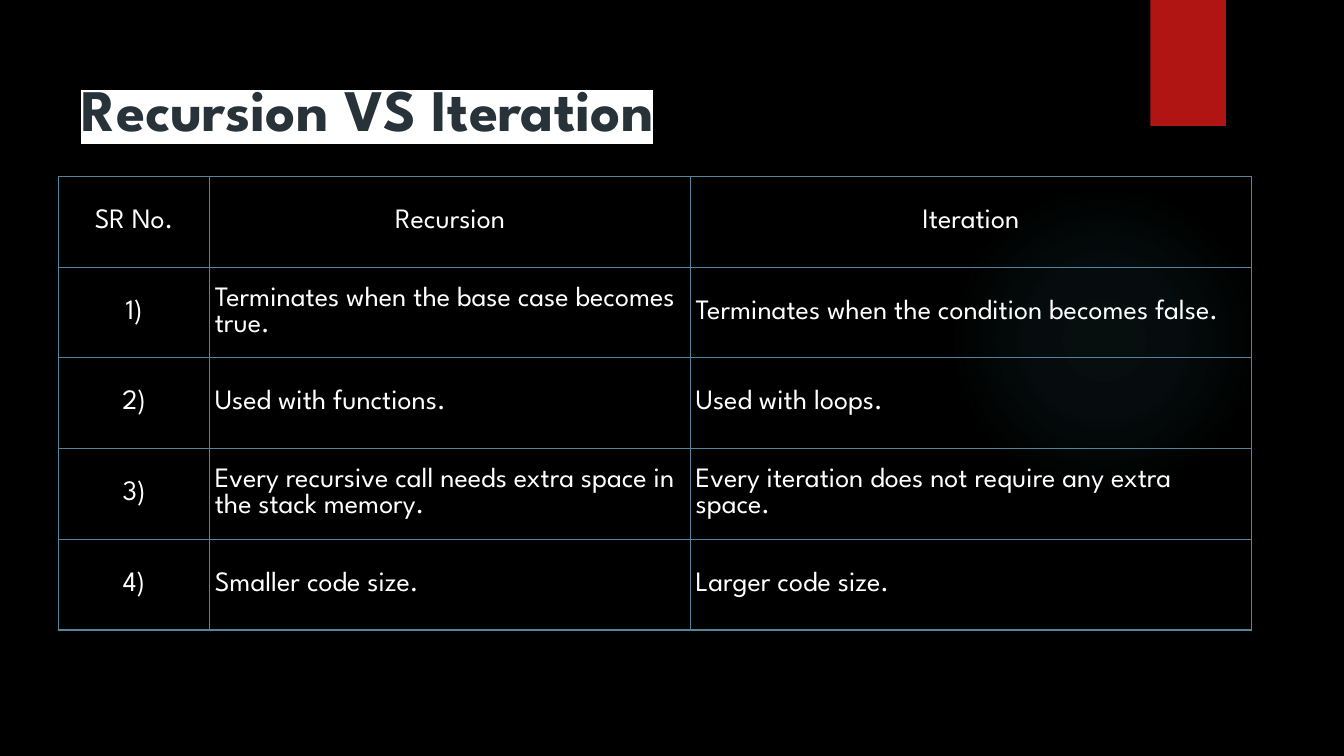
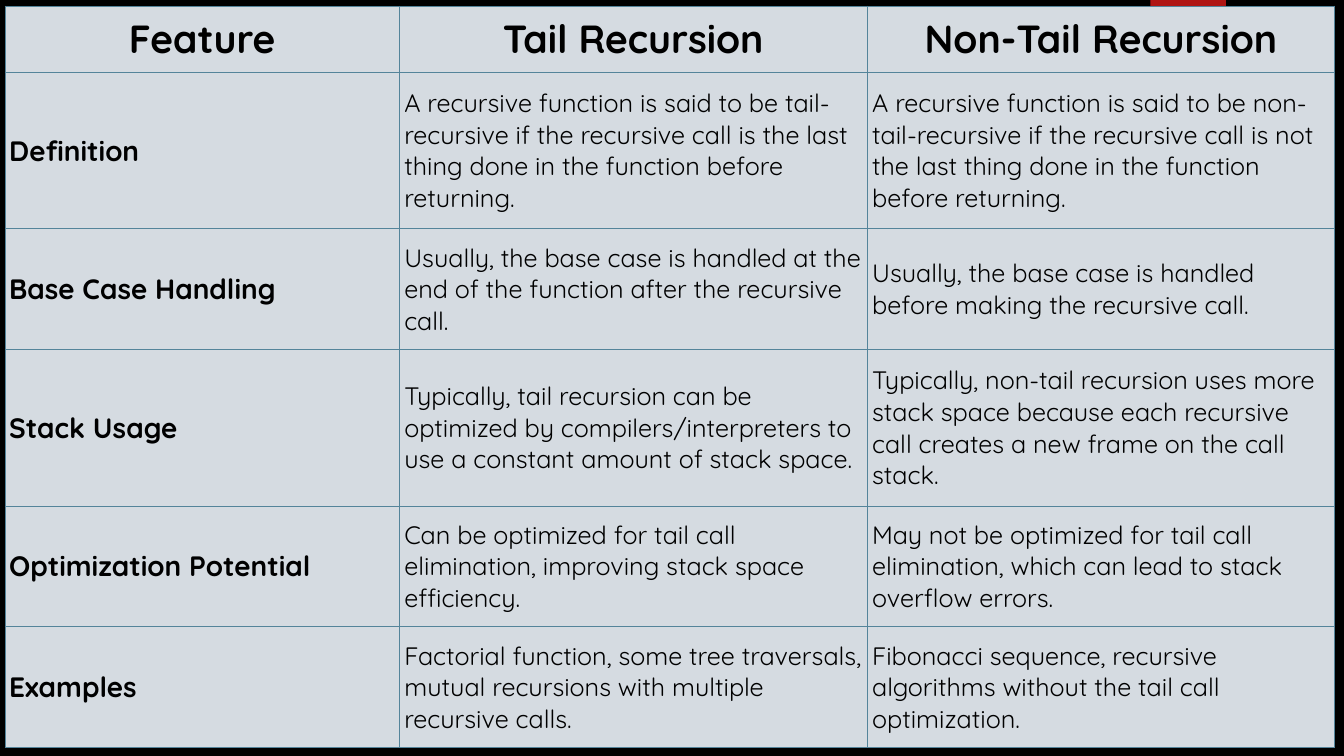
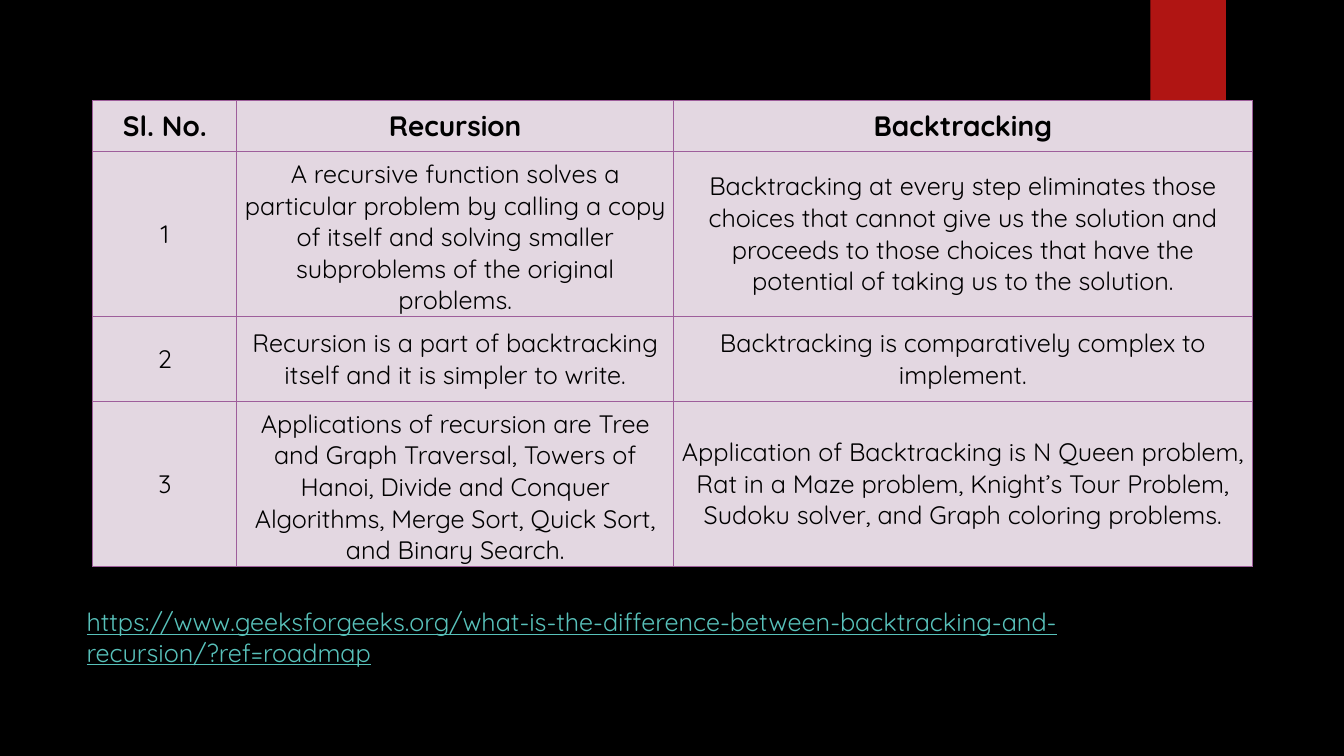
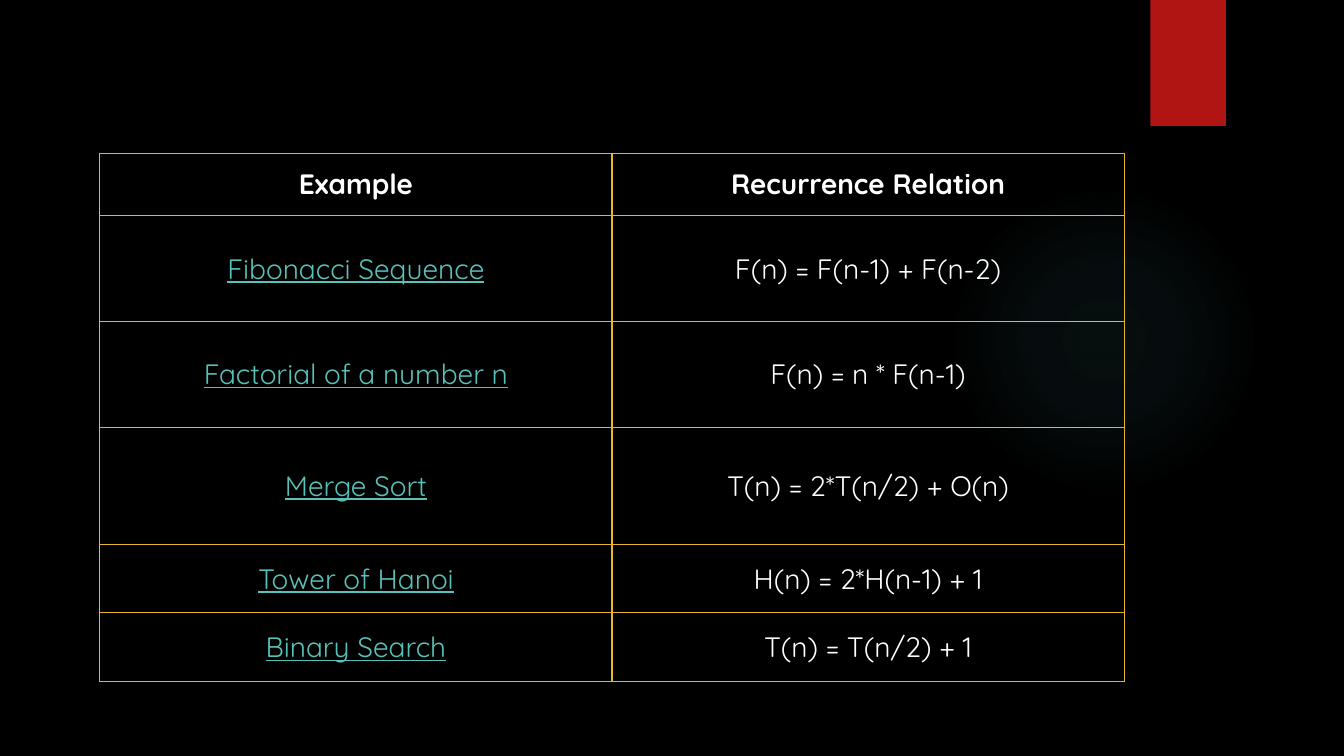
"""Build four slides comparing recursion with other techniques."""
from dataclasses import dataclass

from lxml import etree
from pptx import Presentation
from pptx import util as u
from pptx.dml.color import RGBColor
from pptx.enum import shapes, text
from pptx.oxml import parse_xml
from pptx.oxml.ns import nsdecls, qn

BLACK, WHITE, RED = "000000", "FFFFFF", "B01513"
GLOW, LINK, INK = "50B9C1", "58C1BA", "273239"
SPARTAN, QUICKSAND = "League Spartan", "Quicksand"
LEFT, CENTER = text.PP_ALIGN.LEFT, text.PP_ALIGN.CENTER
GLOW_STOPS = ((0, 7), (36, 6), (69, 0))


@dataclass(frozen=True)
class Look:
    font: str
    size: float
    color: str
    bold: bool = False
    underline: bool = False
    align: text.PP_ALIGN = CENTER


@dataclass(frozen=True)
class Grid:
    left: float
    top: float
    widths: tuple[float, ...]
    heights: tuple[float, ...]
    border: str
    border_width: float
    header: Look
    columns: tuple[Look, ...]
    rows: tuple[tuple[str, ...], ...]
    fill: str | None = None
    label_inset: float = 0.05


def rgb(color: str) -> RGBColor:
    return RGBColor.from_string(color)


def apply(target, values: dict) -> None:
    for name, value in values.items():
        setattr(target, name, value)


def write(tf, content: str, look: Look):
    p = tf.paragraphs[0]
    p.alignment = look.align
    r = p.add_run()
    r.text = content
    apply(r.font, {"name": look.font, "size": u.Pt(look.size),
                   "bold": look.bold, "underline": look.underline})
    r.font.color.rgb = rgb(look.color)
    return r


def add_shape(s, kind, left: float, top: float, width: float, height: float):
    sp = s.shapes.add_shape(kind, *map(u.Inches, (left, top, width, height)))
    sp.shadow.inherit = False
    sp.line.fill.background()
    return sp


def add_text(s, left: float, top: float, width: float, height: float,
             content: str, look: Look, inset_top: float = 0.05):
    sp = s.shapes.add_textbox(*map(u.Inches, (left, top, width, height)))
    apply(sp.text_frame, {"word_wrap": True, "margin_top": u.Inches(inset_top)})
    return write(sp.text_frame, content, look)


def add_glow(s) -> None:
    sp = add_shape(s, shapes.MSO_SHAPE.OVAL, 9.41, 1.83, 3.08, 3.08)
    stops = "".join(
        f'<a:gs pos="{pos * 1000}"><a:srgbClr val="{GLOW}">'
        f'<a:alpha val="{alpha * 1000}"/></a:srgbClr></a:gs>'
        for pos, alpha in GLOW_STOPS)
    gradient = parse_xml(
        f'<a:gradFill {nsdecls("a")}><a:gsLst>{stops}</a:gsLst><a:path path="circle">'
        '<a:fillToRect l="50000" t="50000" r="50000" b="50000"/></a:path></a:gradFill>')
    sp._element.spPr.find(qn("a:prstGeom")).addnext(gradient)


def add_slide(prs):
    s = prs.slides.add_slide(prs.slide_layouts[6])
    s.background.fill.solid()
    s.background.fill.fore_color.rgb = rgb(BLACK)
    add_glow(s)
    ribbon = add_shape(s, shapes.MSO_SHAPE.RECTANGLE, 11.41, 0, 0.75, 1.25)
    ribbon.fill.solid()
    ribbon.fill.fore_color.rgb = rgb(RED)
    return s


def set_borders(cell, color: str, width: float) -> None:
    tc_pr = cell._tc.get_or_add_tcPr()
    for side in ("lnL", "lnR", "lnT", "lnB"):
        tc_pr.append(parse_xml(
            f'<a:{side} {nsdecls("a")} w="{u.Pt(width)}"><a:solidFill>'
            f'<a:srgbClr val="{color}"/></a:solidFill></a:{side}>'))


def add_grid(s, grid: Grid) -> None:
    box = (grid.left, grid.top, sum(grid.widths), sum(grid.heights))
    table = s.shapes.add_table(len(grid.rows), len(grid.widths),
                               *map(u.Inches, box)).table
    apply(table, {"first_row": False, "horz_banding": False})
    for column, width in zip(table.columns, grid.widths):
        column.width = u.Inches(width)
    for i, (row, height) in enumerate(zip(grid.rows, grid.heights)):
        table.rows[i].height = u.Inches(height)
        for j, content in enumerate(row):
            cell = table.cell(i, j)
            side = u.Inches(0.05 if j else grid.label_inset)
            edge = u.Inches(0.07 if i else 0.05)
            apply(cell, {"margin_left": side, "margin_right": side,
                         "margin_top": edge, "margin_bottom": edge,
                         "vertical_anchor": text.MSO_ANCHOR.MIDDLE})
            set_borders(cell, grid.border, grid.border_width)
            if grid.fill:
                cell.fill.solid()
                cell.fill.fore_color.rgb = rgb(grid.fill)
            else:
                cell.fill.background()
            write(cell.text_frame, content, grid.columns[j] if i else grid.header)


def add_title(s, content: str) -> None:
    r = add_text(s, 0.71, 0.5, 10.29, 1.53, content,
                 Look(SPARTAN, 42, INK, bold=True, align=LEFT), inset_top=0.22)
    highlight = etree.Element(qn("a:highlight"))
    etree.SubElement(highlight, qn("a:srgbClr"), val=WHITE)
    r.font._element.find(qn("a:solidFill")).addnext(highlight)


SPARTAN_CENTER = Look(SPARTAN, 20, WHITE)
SPARTAN_LEFT = Look(SPARTAN, 20, WHITE, align=LEFT)
BODY_LEFT = Look(QUICKSAND, 18, BLACK, align=LEFT)
BODY_CENTER = Look(QUICKSAND, 18, BLACK)

ITERATION = Grid(
    0.58, 1.75, (1.5, 4.77, 5.56), (0.9,) * 5, "54849A", 1,
    SPARTAN_CENTER, (SPARTAN_CENTER, SPARTAN_LEFT, SPARTAN_LEFT), (
        ("SR No.", "Recursion", "Iteration"),
        ("1)", "Terminates when the base case becomes true.",
         "Terminates when the condition becomes false."),
        ("2)", "Used with functions.", "Used with loops."),
        ("3)", "Every recursive call needs extra space in the stack memory.",
         "Every iteration does not require any extra space."),
        ("4)", "Smaller code size.", "Larger code size."),
    ))

TAIL = Grid(
    0.05, 0.06, (3.91, 4.64, 4.64), (0.66, 1.55, 1.2, 1.55, 1.2, 1.2), "54849A", 0.75,
    Look(QUICKSAND, 28, BLACK, bold=True),
    (Look(QUICKSAND, 20, BLACK, bold=True, align=LEFT), BODY_LEFT, BODY_LEFT), (
        ("Feature", "Tail Recursion", "Non-Tail Recursion"),
        ("Definition",
         "A recursive function is said to be tail-recursive if the recursive call "
         "is the last thing done in the function before returning.",
         "A recursive function is said to be non-tail-recursive if the recursive call "
         "is not the last thing done in the function before returning."),
        ("Base Case Handling",
         "Usually, the base case is handled at the end of the function after the "
         "recursive call.",
         "Usually, the base case is handled before making the recursive call."),
        ("Stack Usage",
         "Typically, tail recursion can be optimized by compilers/interpreters to use "
         "a constant amount of stack space.",
         "Typically, non-tail recursion uses more stack space because each recursive "
         "call creates a new frame on the call stack."),
        ("Optimization Potential",
         "Can be optimized for tail call elimination, improving stack space efficiency.",
         "May not be optimized for tail call elimination, which can lead to stack "
         "overflow errors."),
        ("Examples",
         "Factorial function, some tree traversals, mutual recursions with multiple "
         "recursive calls.",
         "Fibonacci sequence, recursive algorithms without the tail call optimization."),
    ), fill="D5DBE1", label_inset=0.04)

BACKTRACKING = Grid(
    0.92, 1, (1.43, 4.33, 5.74), (0.5, 1.46, 0.84, 1.46), "9E5E9B", 0.75,
    Look(QUICKSAND, 20, BLACK, bold=True), (BODY_CENTER,) * 3, (
        ("Sl. No.", "Recursion", "Backtracking"),
        ("1",
         "A recursive function solves a particular problem by calling a copy of itself "
         "and solving smaller subproblems of the original problems.",
         "Backtracking at every step eliminates those choices that cannot give us the "
         "solution and proceeds to those choices that have the potential of taking us "
         "to the solution."),
        ("2", "Recursion is a part of backtracking itself and it is simpler to write.",
         "Backtracking is comparatively complex to implement."),
        ("3",
         "Applications of recursion are Tree and Graph Traversal, Towers of Hanoi, "
         "Divide and Conquer Algorithms, Merge Sort, Quick Sort, and Binary Search.",
         "Application of Backtracking is N Queen problem, Rat in a Maze problem, "
         "Knight’s Tour Problem, Sudoku solver, and Graph coloring problems."),
    ), fill="E3D7E1")

RECURRENCE = Grid(
    0.99, 1.52, (5.08, 5.08), (0.62, 1.05, 1.05, 1.16, 0.68, 0.68), "E6B729", 1,
    Look(QUICKSAND, 20, WHITE, bold=True),
    (Look(QUICKSAND, 20, LINK, underline=True), Look(QUICKSAND, 20, WHITE)), (
        ("Example", "Recurrence Relation"),
        ("Fibonacci Sequence", "F(n) = F(n-1) + F(n-2)"),
        ("Factorial of a number n", "F(n) = n * F(n-1)"),
        ("Merge Sort", "T(n) = 2*T(n/2) + O(n)"),
        ("Tower of Hanoi", "H(n) = 2*H(n-1) + 1"),
        ("Binary Search", "T(n) = T(n/2) + 1"),
    ), label_inset=0.04)

SOURCE = ("https://www.geeksforgeeks.org/what-is-the-difference-between-"
          "backtracking-and-recursion/?ref=roadmap")


def main() -> None:
    prs = Presentation()
    apply(prs, {"slide_width": u.Inches(13.33), "slide_height": u.Inches(7.5)})

    s = add_slide(prs)
    add_title(s, "Recursion VS Iteration")
    add_grid(s, ITERATION)

    add_grid(add_slide(prs), TAIL)

    s = add_slide(prs)
    add_grid(s, BACKTRACKING)
    add_text(s, 0.76, 5.97, 10.51, 0.71, SOURCE,
             Look(QUICKSAND, 18, LINK, underline=True, align=LEFT))

    add_grid(add_slide(prs), RECURRENCE)
    prs.save("out.pptx")


if __name__ == "__main__":
    main()
